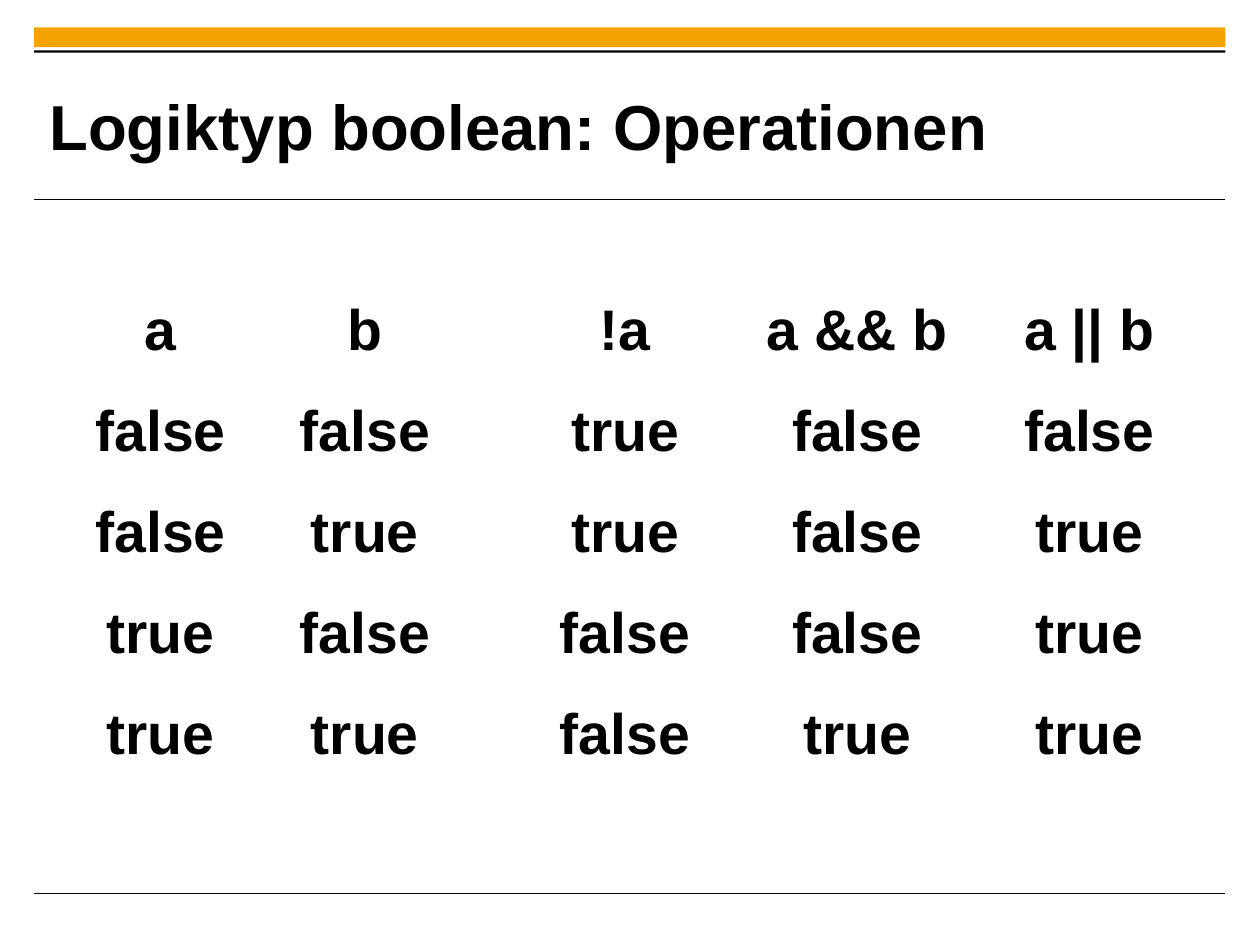
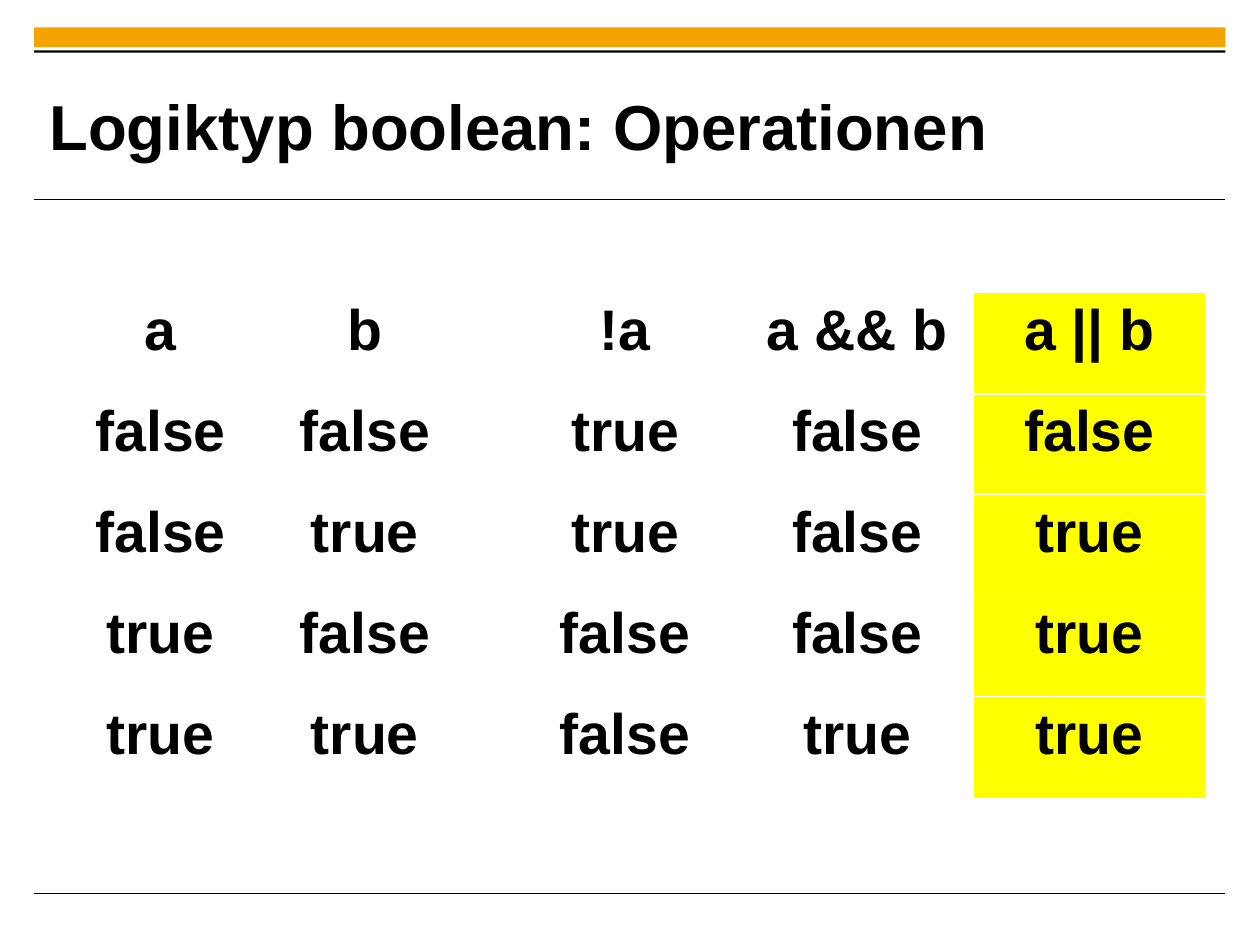
import pptx
import pptx.util
import pptx.dml.color
import pptx.enum.text
import pptx.enum.shapes
from dataclasses import dataclass
from lxml import etree
from pptx.util import Cm, Pt

TITLE = "Logiktyp boolean: Operationen"
TRUTH_TABLE = [
    ("a", "b", "!a", "a && b", "a || b"),
    ("false", "false", "true", "false", "false"),
    ("false", "true", "true", "false", "true"),
    ("true", "false", "false", "false", "true"),
    ("true", "true", "false", "true", "true"),
]
SLIDES = [
    {"title": TITLE, "rows": TRUTH_TABLE, "highlight": None},
    {"title": TITLE, "rows": TRUTH_TABLE, "highlight": 4},
]


@dataclass(frozen=True)
class Theme:
    font: str = "Arial"
    text: str = "000000"
    accent: str = "F5A300"
    paper: str = "FFFFFF"
    marker: str = "FFFF00"
    title_size: float = 40
    cell_size: float = 36
    rule_width: float = 0.6
    border: float = 0.45
    header_border: float = 1.47


THEME = Theme()
SLIDE_SIZE = (28, 21)
FRAME_LEFT, FRAME_WIDTH = 0.76, 26.47
BANDS = [(0.61, 0.44, THEME.accent), (1.12, 0.05, THEME.text)]
RULES = [4.44, 19.86]
TITLE_BOX = {"left": 1.1, "top": 1.5, "width": 21.06, "height": 2.56}
TABLE_BOX = (0.99, 6.5, 25.8, 11.23)
SECOND_COLUMN_INSET = 1.5


def rgb(value):
    return pptx.dml.color.RGBColor.from_string(value)


def apply(target, values):
    for key, value in values.items():
        setattr(target, key, value)


def style_text(paragraph, size, alignment):
    paragraph.alignment = alignment
    apply(paragraph.font, {"name": THEME.font, "size": Pt(size), "bold": True})
    paragraph.font.color.rgb = rgb(THEME.text)


def build_frame(layout, slide):
    for placeholder in list(layout.placeholders):
        if placeholder.placeholder_format.idx != 0:
            placeholder.element.getparent().remove(placeholder.element)
    parts = []
    for top, height, color in BANDS:
        band = slide.shapes.add_shape(
            pptx.enum.shapes.MSO_SHAPE.RECTANGLE,
            Cm(FRAME_LEFT), Cm(top), Cm(FRAME_WIDTH), Cm(height))
        band.shadow.inherit = False
        band.fill.solid()
        band.fill.fore_color.rgb = rgb(color)
        band.line.fill.background()
        parts.append(band)
    for y in RULES:
        rule = slide.shapes.add_connector(
            pptx.enum.shapes.MSO_CONNECTOR.STRAIGHT,
            Cm(FRAME_LEFT), Cm(y), Cm(FRAME_LEFT + FRAME_WIDTH), Cm(y))
        rule.line.width = Pt(THEME.rule_width)
        rule.line.color.rgb = rgb(THEME.text)
        etree.SubElement(rule.element.spPr, pptx.oxml.ns.qn("a:effectLst"))
        parts.append(rule)
    for part in parts:
        layout.shapes.element.append(part.element)


def add_title(slide, text):
    title = slide.shapes.title
    apply(title, {key: Cm(value) for key, value in TITLE_BOX.items()})
    frame = title.text_frame
    frame.text = text
    apply(frame, {
        "margin_left": 0, "margin_top": 0, "margin_right": 0, "margin_bottom": 0,
        "word_wrap": True,
        "auto_size": pptx.enum.text.MSO_AUTO_SIZE.NONE,
        "vertical_anchor": pptx.enum.text.MSO_ANCHOR.MIDDLE,
    })
    style_text(frame.paragraphs[0], THEME.title_size, pptx.enum.text.PP_ALIGN.LEFT)


def set_borders(cell, top, bottom):
    properties = cell._tc.get_or_add_tcPr()
    qn = pptx.oxml.ns.qn
    widths = {"L": THEME.border, "R": THEME.border, "T": top, "B": bottom}
    for side, width in widths.items():
        line = etree.SubElement(properties, qn(f"a:ln{side}"), w=str(int(Pt(width))))
        fill = etree.SubElement(line, qn("a:solidFill"))
        etree.SubElement(fill, qn("a:srgbClr"), val=THEME.paper)


def add_truth_table(slide, rows, highlight):
    table = slide.shapes.add_table(
        len(rows), len(rows[0]), *(Cm(value) for value in TABLE_BOX)).table
    apply(table, {"first_row": False, "horz_banding": False})
    for r, row in enumerate(rows):
        top = THEME.header_border if r == 1 else THEME.border
        bottom = THEME.header_border if r == 0 else THEME.border
        for c, value in enumerate(row):
            cell = table.cell(r, c)
            cell.text = value
            style_text(cell.text_frame.paragraphs[0], THEME.cell_size,
                       pptx.enum.text.PP_ALIGN.CENTER)
            if c == 1:
                cell.margin_right = Cm(SECOND_COLUMN_INSET)
            set_borders(cell, top, bottom)
            cell.fill.solid()
            cell.fill.fore_color.rgb = rgb(
                THEME.marker if c == highlight else THEME.paper)


def main():
    deck = pptx.Presentation()
    deck.slide_width, deck.slide_height = (Cm(side) for side in SLIDE_SIZE)
    layout = deck.slide_layouts[5]
    for number, content in enumerate(SLIDES):
        slide = deck.slides.add_slide(layout)
        if number == 0:
            build_frame(layout, slide)
        add_title(slide, content["title"])
        add_truth_table(slide, content["rows"], content["highlight"])
    deck.save("out.pptx")


if __name__ == "__main__":
    main()
